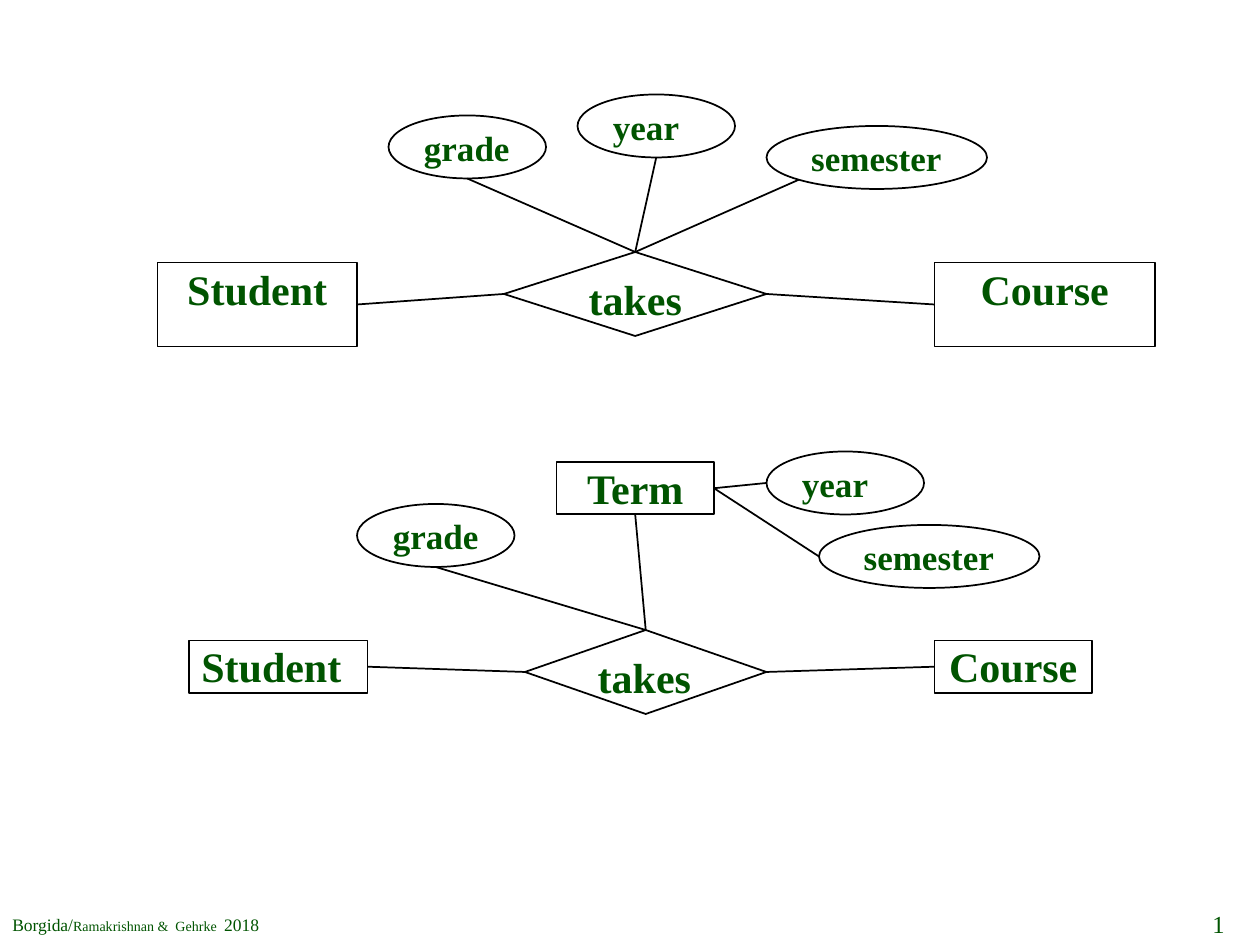
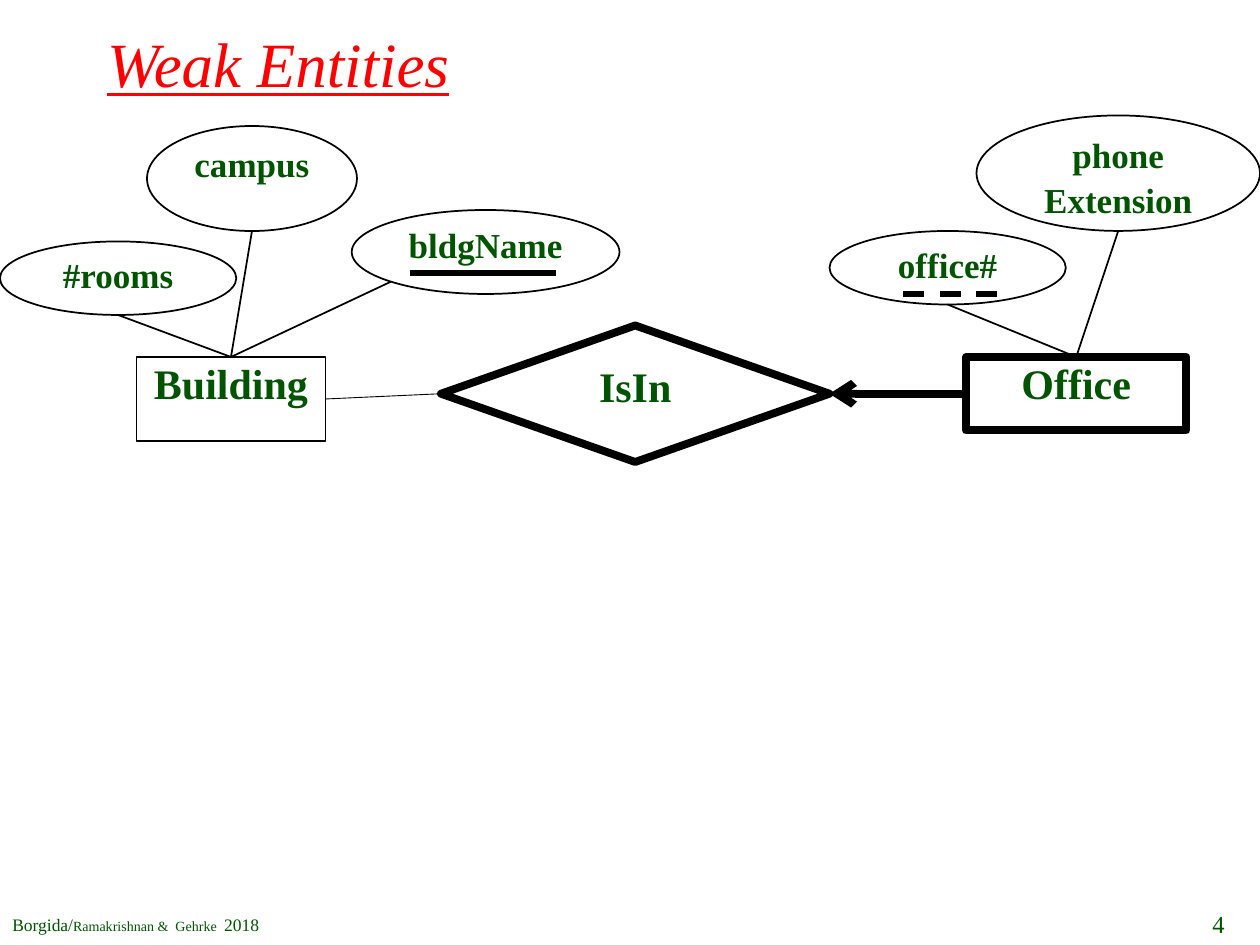
from lxml.etree import SubElement
from pptx import Presentation
from pptx.dml.color import RGBColor
from pptx.enum.dml import MSO_LINE
from pptx.enum.shapes import MSO_CONNECTOR, MSO_SHAPE
from pptx.enum.text import MSO_ANCHOR, PP_ALIGN
from pptx.oxml.ns import qn
from pptx.util import Cm, Pt

FONT = "Times New Roman"
GREEN, RED, BLACK = "005400", "FF0000", "000000"
LEFT, CENTER, RIGHT = PP_ALIGN.LEFT, PP_ALIGN.CENTER, PP_ALIGN.RIGHT
ENTITY, RELATION, ATTRIBUTE = MSO_SHAPE.RECTANGLE, MSO_SHAPE.DIAMOND, MSO_SHAPE.OVAL
THICK = 4.5

# Points of a box where links attach, as fractions of its width and height
SIDES = {"top": (0.5, 0), "left": (0, 0.5), "bottom": (0.5, 1),
         "right": (1, 0.5), "bottom left": (0.146, 0.854)}


def grid(steps):
    """Length of a number of grid steps, twelve to the inch."""
    return Cm(2.54 / 12 * steps)


def color(hex_code):
    """Colour from a hex string."""
    return RGBColor.from_string(hex_code)


def write(frame, text, size, ink=GREEN, align=LEFT, anchor=MSO_ANCHOR.TOP,
          wrap=True, before=0, spacing=1.0, **font_format):
    """Write text, one paragraph a line; a line may be a list of (text, size) runs."""
    frame.word_wrap = wrap
    frame.vertical_anchor = anchor
    lines = text.split("\n") if isinstance(text, str) else [text]
    for index, line in enumerate(lines):
        paragraph = frame.paragraphs[0] if index == 0 else frame.add_paragraph()
        paragraph.alignment = align
        paragraph.space_before = Pt(before)
        paragraph.line_spacing = spacing
        for words, points in [(line, size)] if isinstance(line, str) else line:
            run = paragraph.add_run()
            run.text = words
            run.font.name = FONT
            run.font.size = Pt(points)
            run.font.color.rgb = color(ink)
            for name, value in font_format.items():
                setattr(run.font, name, value)


def draw_line(slide, start, end, width=1, dashed=False, arrow=False):
    """Draw a straight line between two points, with an optional arrow at its start."""
    line = slide.shapes.add_connector(MSO_CONNECTOR.STRAIGHT, *start, *end)
    line.line.color.rgb = color(BLACK)
    line.line.width = Pt(width)
    if dashed:
        line.line.dash_style = MSO_LINE.DASH
    if arrow:
        SubElement(line.line._get_or_add_ln(), qn("a:headEnd"), type="arrow")
    SubElement(line._element.spPr, qn("a:effectLst"))


def draw_node(slide, kind, label, box, align=CENTER, width=1):
    """Draw an entity, relationship or attribute with its label."""
    node = slide.shapes.add_shape(kind, *box)
    node.shadow.inherit = False
    node.fill.background()
    node.line.color.rgb = color(BLACK)
    node.line.width = Pt(width)
    size = 20 if kind == ATTRIBUTE else 24
    write(node.text_frame, label, size, align=align, bold=True,
          before=size * 0.2, spacing=0.9)
    return node


def side_point(node, side):
    """Point on a node where a link attaches."""
    across, down = SIDES[side]
    return (int(node.left + across * node.width), int(node.top + down * node.height))


def draw_diagram(slide, origin, nodes, links, underlines=()):
    """Draw an entity-relationship diagram from its top left corner, in grid steps."""
    x, y = origin
    drawn = {}
    for kind, label, (left, top, width, height), *style in nodes:
        box = [grid(v) for v in (x + left, y + top, width, height)]
        drawn[label] = draw_node(slide, kind, label, box, **(style[0] if style else {}))
    for source, source_side, target, target_side, *style in links:
        draw_line(slide, side_point(drawn[source], source_side),
                  side_point(drawn[target], target_side), **(style[0] if style else {}))
    for left, right, height, dashed in underlines:
        draw_line(slide, (grid(x + left), grid(y + height)),
                  (grid(x + right), grid(y + height)), width=3, dashed=dashed)


def add_title(slide, text):
    """Write the slide title across the top."""
    frame = slide.shapes.add_textbox(Cm(1.91), 0, Cm(21.59), Cm(2.33)).text_frame
    frame.margin_top = Cm(0.3)
    write(frame, text, 36, ink=RED, anchor=MSO_ANCHOR.MIDDLE, italic=True, underline=True)


def add_footer(slide, number):
    """Write the authors at bottom left and the page number at bottom right."""
    authors = slide.shapes.add_textbox(0, Cm(18.29), Cm(5.51), Cm(0.69))
    write(authors.text_frame,
          [("Borgida/", 10), ("Ramakrishnan &  Gehrke  ", 8), ("2018", 10)], 10,
          anchor=MSO_ANCHOR.MIDDLE, wrap=False)
    page = slide.shapes.add_textbox(Cm(23.85), Cm(18.21), Cm(1.09), Cm(0.84))
    write(page.text_frame, str(number), 14, align=RIGHT, anchor=MSO_ANCHOR.MIDDLE)


def add_slide(deck, number):
    """Add a blank slide with the shared footer."""
    slide = deck.slides.add_slide(deck.slide_layouts[6])
    add_footer(slide, number)
    return slide


def build_takes_slide(deck):
    """Show a term first as attributes, then as an entity of its own."""
    slide = add_slide(deck, 1)
    flush = {"align": LEFT}
    ends = [("Student", "right", "takes", "left"), ("takes", "right", "Course", "left")]
    draw_diagram(slide, (15, 9), [
        (ENTITY, "Student", (0, 16, 19, 8)),
        (ENTITY, "Course", (74, 16, 21, 8)),
        (RELATION, "takes", (33, 15, 25, 8)),
        (ATTRIBUTE, "grade", (22, 2, 15, 6), flush),
        (ATTRIBUTE, "year", (40, 0, 15, 6), flush),
        (ATTRIBUTE, "semester", (58, 3, 21, 6), flush),
    ], ends + [
        ("grade", "bottom", "takes", "top"),
        ("year", "bottom", "takes", "top"),
        ("semester", "bottom left", "takes", "top"),
    ])
    draw_diagram(slide, (18, 43), [
        (ENTITY, "Student", (0, 18, 17, 5), flush),
        (ENTITY, "Course", (71, 18, 15, 5)),
        (RELATION, "takes", (32, 17, 23, 8), flush),
        (ATTRIBUTE, "grade", (16, 5, 15, 6)),
        (ATTRIBUTE, "year", (55, 0, 15, 6), flush),
        (ATTRIBUTE, "semester", (60, 7, 21, 6), flush),
        (ENTITY, "Term", (35, 1, 15, 5)),
    ], ends + [
        ("grade", "bottom", "takes", "top"),
        ("year", "left", "Term", "right"),
        ("semester", "left", "Term", "right"),
        ("takes", "top", "Term", "bottom"),
    ])


def build_weak_entity_slide(deck):
    """Show an office as a weak entity of its building."""
    slide = add_slide(deck, 4)
    add_title(slide, "Weak Entities")
    phone = "phone\nExtension"
    weak = {"width": THICK}
    draw_diagram(slide, (0, 11), [
        (ENTITY, "Building", (13, 23, 18, 8)),
        (ENTITY, "Office", (92, 23, 21, 7), weak),
        (RELATION, "IsIn", (42, 20, 37, 13), weak),
        (ATTRIBUTE, "#rooms", (0, 12, 22.5, 7)),
        (ATTRIBUTE, "campus", (14, 1, 20, 10)),
        (ATTRIBUTE, "bldgName", (33.5, 9, 25.5, 8)),
        (ATTRIBUTE, "office#", (79, 11, 22.5, 7)),
        (ATTRIBUTE, phone, (93, 0, 27, 11)),
    ], [
        ("Building", "right", "IsIn", "left", {"width": 0.5}),
        ("IsIn", "right", "Office", "left", {"width": THICK, "arrow": True}),
        ("#rooms", "bottom", "Building", "top"),
        ("campus", "bottom", "Building", "top"),
        ("bldgName", "bottom left", "Building", "top"),
        ("office#", "bottom", "Office", "top"),
        (phone, "bottom", "Office", "top"),
    ], underlines=[(53, 39, 15, False), (95, 85, 17, True)])


deck = Presentation()
deck.slide_width, deck.slide_height = Cm(25.4), Cm(19.05)
build_takes_slide(deck)
build_weak_entity_slide(deck)
deck.save("out.pptx")
